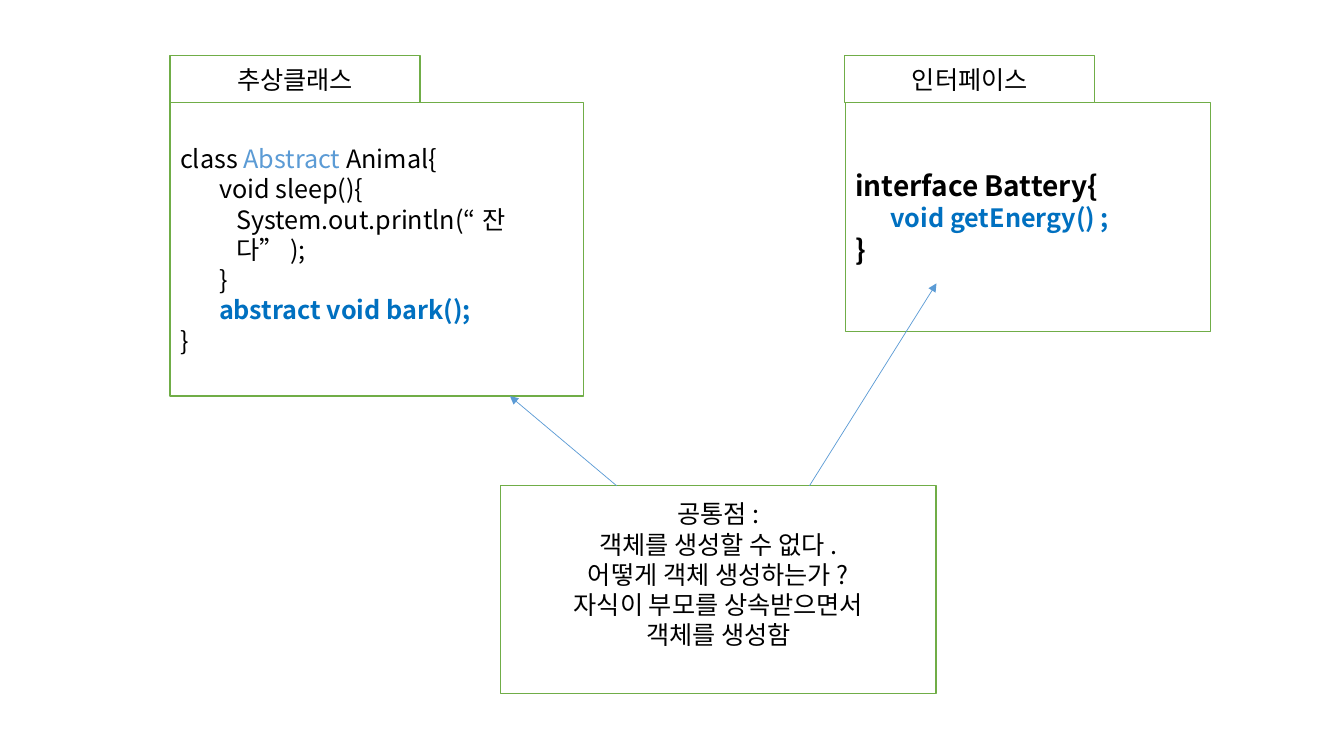
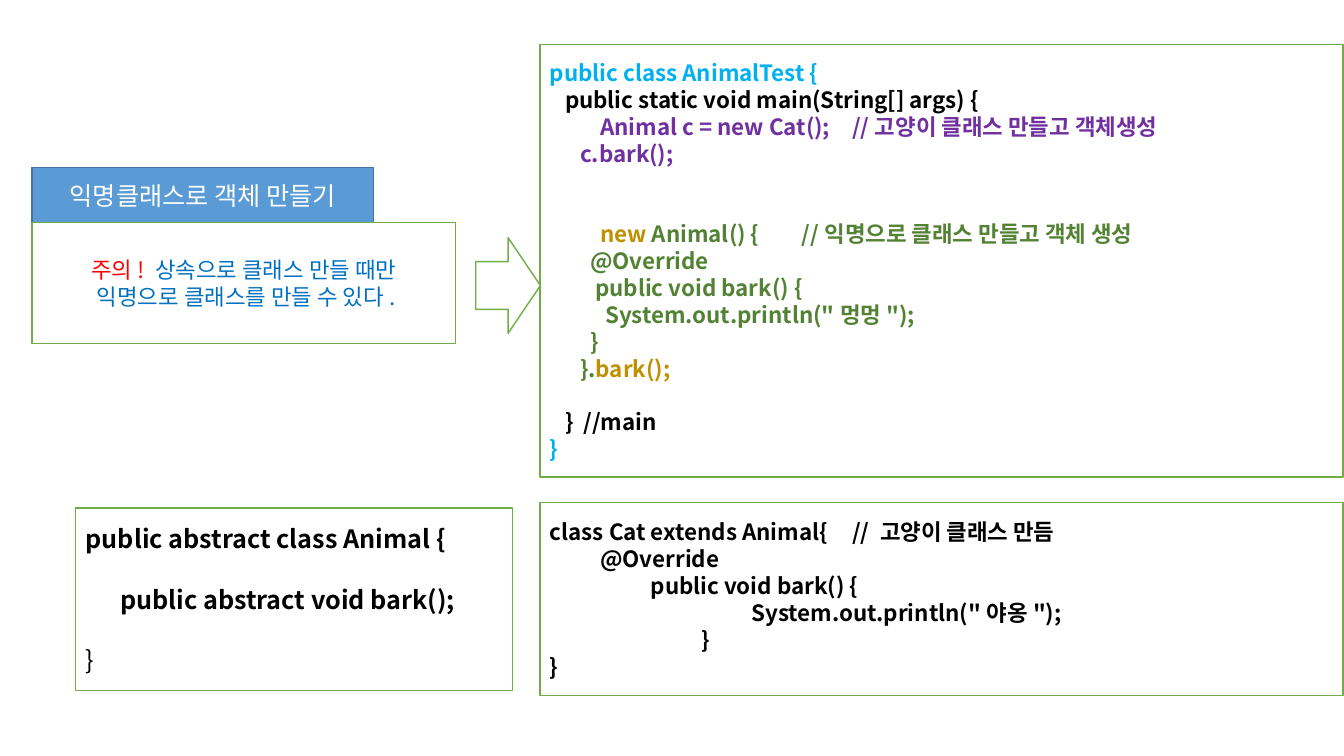
from dataclasses import dataclass
from typing import NamedTuple

from lxml import etree
from pptx import Presentation
from pptx.dml.color import RGBColor
from pptx.enum.shapes import MSO_CONNECTOR, MSO_SHAPE
from pptx.enum.text import MSO_ANCHOR, PP_ALIGN
from pptx.oxml.ns import qn
from pptx.util import Cm, Pt

RECTANGLE = MSO_SHAPE.RECTANGLE
RIGHT_ARROW = MSO_SHAPE.RIGHT_ARROW
STRAIGHT = MSO_CONNECTOR.STRAIGHT
MIDDLE = MSO_ANCHOR.MIDDLE
LEFT = PP_ALIGN.LEFT
CENTER = PP_ALIGN.CENTER


@dataclass(frozen=True)
class Theme:
    font: str = "Noto Sans CJK KR"
    white: str = "FFFFFF"
    black: str = "000000"
    border: str = "70AD47"
    accent: str = "5B9BD5"
    accent_border: str = "43739E"
    keyword: str = "0070C0"
    warning: str = "FF0000"
    outer: str = "00B0F0"
    named: str = "7030A0"
    anonymous: str = "548235"
    call: str = "BF9000"
    large: int = 20
    body: int = 18
    small: int = 16
    pitch: float = 1.2
    border_width: float = 1
    arrow_width: float = 0.5


THEME = Theme()


class Span(NamedTuple):
    text: str
    color: str = THEME.black
    bold: bool = False


class Line(NamedTuple):
    spans: tuple[Span, ...]
    indent: float = 0
    blank_before: int = 0
    tabs: tuple[float, ...] = ()
    size: int | None = None


class Panel(NamedTuple):
    left: float
    top: float
    width: float
    height: float
    lines: tuple[Line, ...] = ()
    size: int = THEME.body
    align: PP_ALIGN = LEFT
    fill: str = THEME.white
    border: str = THEME.border
    shape: MSO_SHAPE = RECTANGLE
    bottom_inset: float = 0.13


class Arrow(NamedTuple):
    start: tuple[float, float]
    end: tuple[float, float]


def line(text: str, color: str = THEME.black, bold: bool = False, **layout) -> Line:
    return Line((Span(text, color, bold),), **layout)


def code(text: str, color: str = THEME.black, **layout) -> Line:
    return line(text, color, True, **layout)


def add_span(para, text: str, *, size: int, color: str, bold: bool) -> None:
    span = para.add_run()
    span.text = text
    font = span.font
    font.name = THEME.font
    font.size = Pt(size)
    font.bold = bold
    font.color.rgb = RGBColor.from_string(color)
    east_asian = etree.SubElement(font._element, qn("a:ea"))
    east_asian.set("typeface", THEME.font)


def add_tabs(properties, tabs: tuple[float, ...]) -> None:
    tab_list = etree.SubElement(properties, qn("a:tabLst"))
    for position in tabs:
        etree.SubElement(tab_list, qn("a:tab"), pos=str(Cm(position)), algn="l")


def fill_para(para, content: Line, panel: Panel) -> None:
    size = content.size or panel.size
    pitch = size * THEME.pitch
    para.alignment = panel.align
    para.line_spacing = Pt(pitch)
    para.space_before = Pt(pitch * content.blank_before)
    properties = para._p.get_or_add_pPr()
    properties.set("marL", str(Cm(content.indent)))
    properties.set("indent", "0")
    if content.tabs:
        add_tabs(properties, content.tabs)
    for text, color, bold in content.spans:
        add_span(para, text, size=size, color=color, bold=bold)


def add_panel(page, panel: Panel) -> None:
    box = page.shapes.add_shape(
        panel.shape, Cm(panel.left), Cm(panel.top), Cm(panel.width), Cm(panel.height)
    )
    box.shadow.inherit = False
    box.fill.solid()
    box.fill.fore_color.rgb = RGBColor.from_string(panel.fill)
    box.line.color.rgb = RGBColor.from_string(panel.border)
    box.line.width = Pt(THEME.border_width)
    frame = box.text_frame
    frame.word_wrap = True
    frame.vertical_anchor = MIDDLE
    frame.margin_bottom = Cm(panel.bottom_inset)
    for index, content in enumerate(panel.lines):
        para = frame.add_paragraph() if index else frame.paragraphs[0]
        fill_para(para, content, panel)


def add_arrow(page, arrow: Arrow) -> None:
    connector = page.shapes.add_connector(
        STRAIGHT, *(Cm(value) for value in arrow.start + arrow.end)
    )
    connector.line.color.rgb = RGBColor.from_string(THEME.accent)
    connector.line.width = Pt(THEME.arrow_width)
    etree.SubElement(connector.line._get_or_add_ln(), qn("a:tailEnd"), type="triangle")
    etree.SubElement(connector._element.spPr, qn("a:effectLst"))


def label(text: str, left: float) -> Panel:
    return Panel(left, 1.4, 6.3, 1.19, (line(text),), align=CENTER)


COMPARISON = (
    Panel(4.29, 2.59, 10.41, 7.39, (
        Line((Span("class "), Span("Abstract", THEME.accent), Span(" Animal{"))),
        line("void sleep(){", indent=0.98),
        line("System.out.println(“잔다”);", indent=1.41),
        line("}", indent=0.98),
        code("abstract void bark();", THEME.keyword, indent=0.98),
        line("}"),
    )),
    Panel(21.31, 2.59, 9.19, 5.77, (
        code("interface Battery{"),
        code("void getEnergy() ;", THEME.keyword, indent=0.88, size=THEME.body),
        code("}"),
    ), size=THEME.large),
    label("추상클래스", 4.29),
    label("인터페이스", 21.29),
    Panel(12.62, 12.24, 10.97, 5.23, (
        line("공통점:"),
        line("객체를 생성할 수 없다."),
        line("어떻게 객체 생성하는가?"),
        line("자식이 부모를 상속받으면서"),
        line("객체를 생성함"),
    ), align=CENTER, bottom_inset=0.89),
)

COMPARISON_ARROWS = (
    Arrow((15.54, 12.24), (12.85, 9.98)),
    Arrow((20.4, 12.24), (23.6, 7.14)),
)

ANONYMOUS_CLASS = (
    Panel(0.81, 4.22, 8.61, 1.4, (line("익명클래스로 객체 만들기", THEME.white),),
          align=CENTER, fill=THEME.accent, border=THEME.accent_border),
    Panel(0.81, 5.61, 10.67, 3.05, (
        Line((Span("주의! ", THEME.warning),
              Span("상속으로 클래스 만들 때만", THEME.keyword))),
        line(" 익명으로 클래스를 만들 수 있다.", THEME.keyword),
    ), size=THEME.small, align=CENTER),
    Panel(13.61, 1.12, 20.24, 10.9, (
        code("public class AnimalTest {", THEME.outer),
        code("public static void main(String[] args) {", indent=0.38),
        code("\tAnimal c = new Cat();\t//고양이 클래스 만들고 객체생성",
             THEME.named, tabs=(0.76, 7.43)),
        code("c.bark();", THEME.named, indent=0.76),
        Line((Span("\tnew ", THEME.call, True),
              Span("Animal() {\t//익명으로 클래스 만들고 객체 생성", THEME.anonymous, True)),
             blank_before=2, tabs=(0.63, 6.55)),
        code("@Override", THEME.anonymous, indent=1.01),
        code("public void bark() {", THEME.anonymous, indent=1.14),
        code('System.out.println("멍멍");', THEME.anonymous, indent=1.39),
        code("}", THEME.anonymous, indent=1.01),
        Line((Span("}.", THEME.anonymous, True), Span("bark();", THEME.call, True)),
             indent=0.76),
        code("}  //main", indent=0.38, blank_before=1),
        code("}", THEME.outer),
    ), size=THEME.small),
    Panel(1.91, 12.8, 11, 4.6, (
        code("public abstract class Animal {"),
        code("public abstract void bark();", indent=0.87, blank_before=1),
        line("}", blank_before=1),
    )),
    Panel(11.99, 5.99, 1.63, 2.41, shape=RIGHT_ARROW),
    Panel(13.61, 12.67, 20.24, 4.85, (
        code("class Cat extends Animal{\t// 고양이 클래스 만듬", tabs=(8.79,)),
        code("@Override", indent=1.27),
        code("public void bark() {", indent=2.54),
        code('System.out.println("야옹");', indent=5.08),
        code("}", indent=3.81),
        code("}"),
    ), size=THEME.small),
)


def main() -> None:
    deck = Presentation()
    deck.slide_width = Cm(33.87)
    deck.slide_height = Cm(19.05)
    blank = deck.slide_layouts[6]
    for panels, arrows in ((COMPARISON, COMPARISON_ARROWS), (ANONYMOUS_CLASS, ())):
        page = deck.slides.add_slide(blank)
        for panel in panels:
            add_panel(page, panel)
        for arrow in arrows:
            add_arrow(page, arrow)
    deck.save("out.pptx")


if __name__ == "__main__":
    main()
